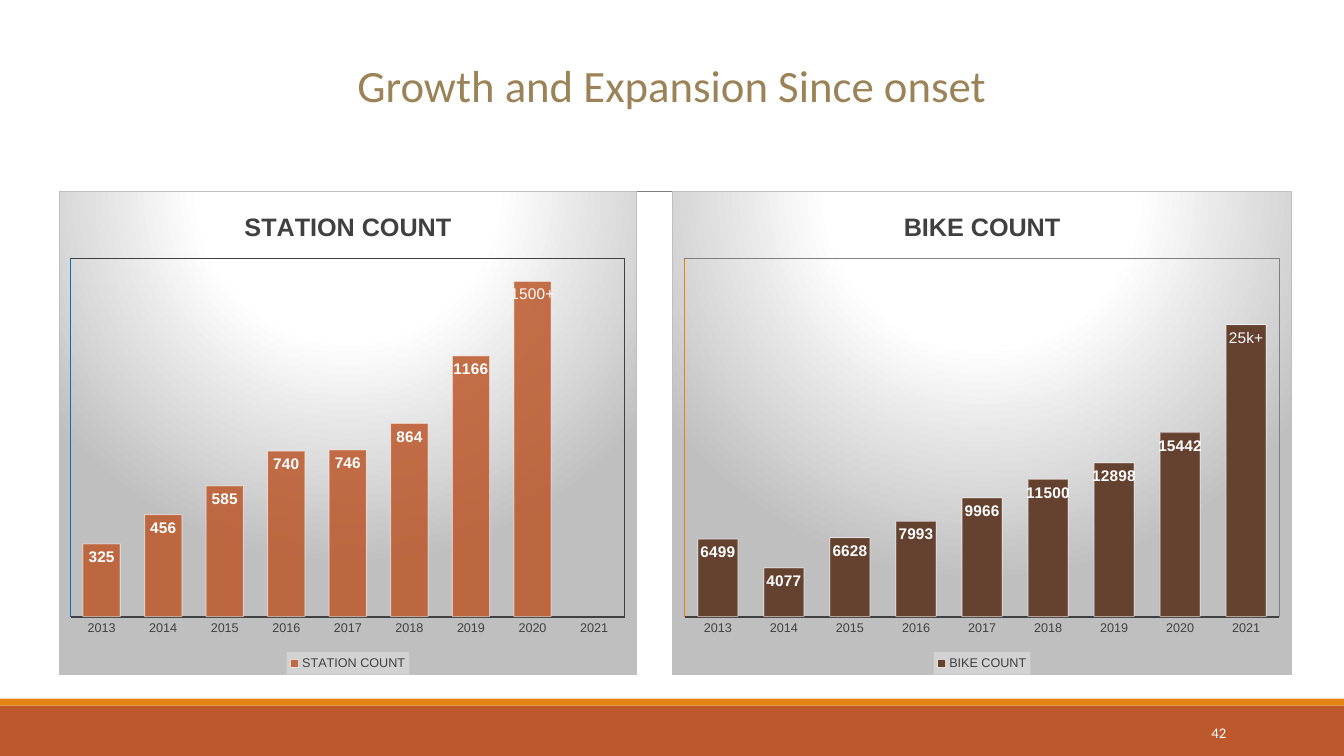
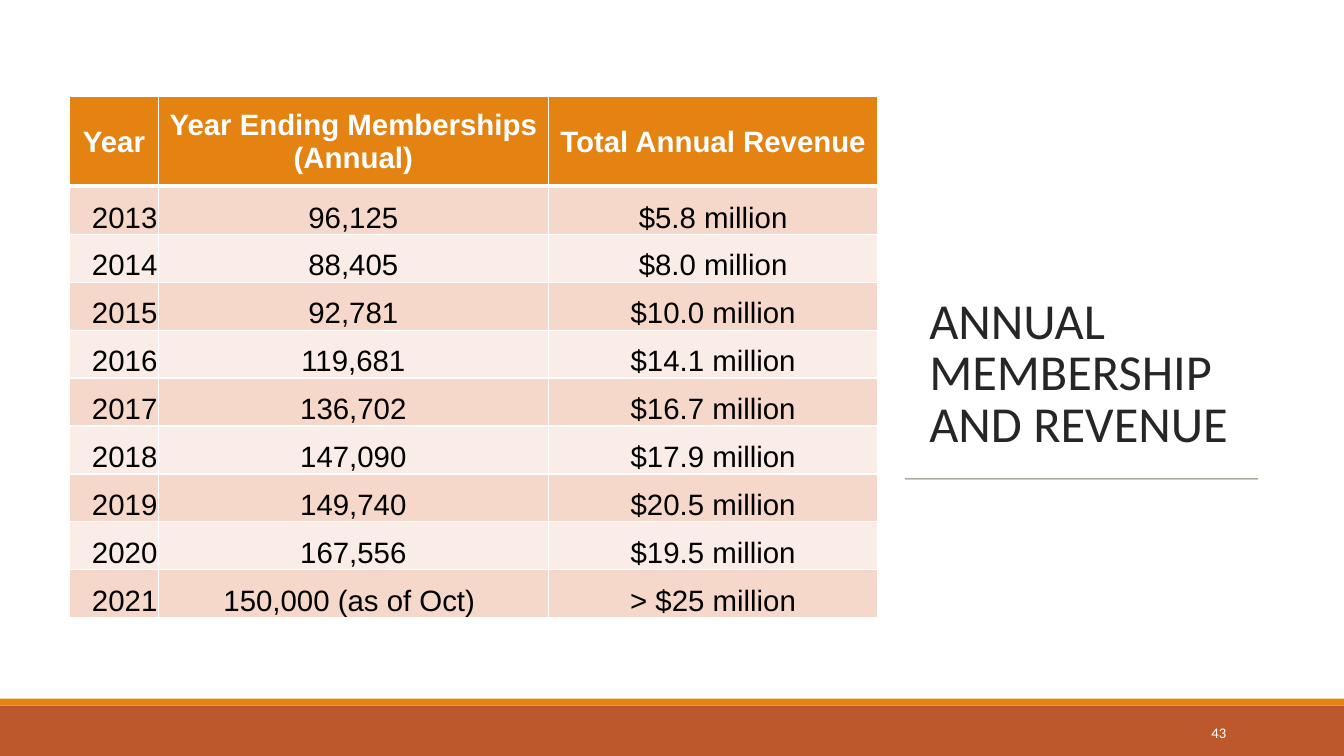
from dataclasses import dataclass
from typing import Any, Optional

import pptx
import pptx.chart.data
import pptx.dml.color
import pptx.enum.chart
import pptx.enum.shapes
import pptx.enum.text
import pptx.oxml
import pptx.oxml.ns
import pptx.slide
import pptx.util

Pt = pptx.util.Pt
ALIGN = pptx.enum.text.PP_ALIGN
ANCHOR = pptx.enum.text.MSO_ANCHOR
CHART = pptx.enum.chart

HUES = {
    "white": "FFFFFF", "black": "000000", "ink": "262626", "dark": "404040",
    "gray": "7F7F7F", "edge": "BFBFBF", "pale": "F2F2F2", "rust": "BD582C",
    "orange": "E48312", "brown": "654130", "gold": "9B8357", "olive": "637052",
    "blue": "0070C0", "rose": "F5D8CA", "blush": "FAECE6",
}
WIDE, HIGH = 960, 540
SPACES = " ".join(pptx.oxml.ns.nsdecls(name) for name in ("a", "c"))


@dataclass
class Box:
    left: float
    top: float
    width: float
    height: float

    def pts(self) -> list[int]:
        return [Pt(n) for n in (self.left, self.top, self.width, self.height)]


@dataclass
class Band:
    box: Box
    hue: str


@dataclass
class Graph:
    box: Box
    name: str
    vals: list[Optional[int]]
    top: int
    hue: str
    frame: str
    side: str
    mark: int
    label: str
    alpha: int = 100


BANDS = [
    Band(Box(0, 504, WIDE, 36), "rust"),
    Band(Box(0, 499, WIDE, 5), "orange"),
]
YEARS = [str(year) for year in range(2013, 2022)]
GRAPHS = [
    Graph(Box(42, 136.3, 413, 346), "STATION COUNT",
          [325, 456, 585, 740, 746, 864, 1166, 1500, None],
          1600, "rust", "dark", "blue", 7, "1500+", 85),
    Graph(Box(480, 136.3, 443, 346), "BIKE COUNT",
          [6499, 4077, 6628, 7993, 9966, 11500, 12898, 15442, 24500],
          30000, "brown", "gray", "orange", 8, "25k+"),
]
HEADS = ["Year", "Year Ending Memberships (Annual)", "Total Annual Revenue"]
MEMBERS = ["96,125", "88,405", "92,781", "119,681", "136,702", "147,090",
           "149,740", "167,556", "150,000 (as of Oct)\N{NO-BREAK SPACE}"]
SALES = ["$5.8 million", "$8.0 million", "$10.0 million", "$14.1 million",
         "$16.7 million", "$17.9 million", "$20.5 million", "$19.5 million",
         "> $25 million"]


def rgb(hue: str) -> pptx.dml.color.RGBColor:
    return pptx.dml.color.RGBColor.from_string(HUES[hue])


def put(thing: Any, **values: Any) -> None:
    """Set each named attribute."""
    for name, value in values.items():
        setattr(thing, name, value)


def ink(font: Any, hue: str, size: float, face: str = "Arial",
        bold: bool = False) -> None:
    put(font, name=face, size=Pt(size), bold=bold)
    font.color.rgb = rgb(hue)


def paint(fill: Any, hue: str) -> None:
    fill.solid()
    fill.fore_color.rgb = rgb(hue)


def stroke(line: Any, hue: str, width: float = 0.75) -> None:
    paint(line.fill, hue)
    line.width = Pt(width)


def node(text: str) -> Any:
    """Parse XML whose first tag still needs its namespaces."""
    cut = min(n for n in (text.find(">"), text.find("/>")) if n > 0)
    return pptx.oxml.parse_xml(f"{text[:cut]} {SPACES}{text[cut:]}")


def fade(color: Any, share: int) -> None:
    color.append(node(f'<a:alpha val="{share * 1000}"/>'))


def solid(hue: str) -> str:
    return f'<a:solidFill><a:srgbClr val="{HUES[hue]}"/></a:solidFill>'


def edge(hue: str) -> str:
    return f'<a:ln w="{Pt(0.75)}">{solid(hue)}</a:ln>'


def rule(slide: pptx.slide.Slide, left: float, right: float, top: float,
         hue: str) -> Any:
    line = slide.shapes.add_connector(
        pptx.enum.shapes.MSO_CONNECTOR.STRAIGHT,
        Pt(left), Pt(top), Pt(right), Pt(top))
    stroke(line.line, hue)
    line.element.spPr.append(node("<a:effectLst/>"))
    return line


def write(shape: Any, text: str, side: Any, anchor: Any, hue: str,
          size: float, space: float = 1, after: float = 0) -> None:
    frame = shape.text_frame
    put(frame, text=text, word_wrap=True, vertical_anchor=anchor,
        auto_size=pptx.enum.text.MSO_AUTO_SIZE.NONE,
        margin_left=Pt(7.2), margin_right=Pt(7.2),
        margin_top=Pt(3.6), margin_bottom=Pt(3.6))
    para = frame.paragraphs[0]
    put(para, alignment=side, line_spacing=space, space_after=Pt(after))
    ink(para.runs[0].font, hue, size, "Calibri")


def start(deck: Any, title: str, box: Box, side: Any, hue: str, size: float,
          page: int, after: float = 0) -> pptx.slide.Slide:
    """Add a slide with its title, bands and page number."""
    slide = deck.slides.add_slide(deck.slide_layouts[5])
    for band in BANDS:
        shape = slide.shapes.add_shape(
            pptx.enum.shapes.MSO_SHAPE.RECTANGLE, *band.box.pts())
        shape.shadow.inherit = False
        paint(shape.fill, band.hue)
        shape.line.fill.background()
    head = slide.shapes.title
    put(head, **dict(zip(("left", "top", "width", "height"), box.pts())))
    write(head, title, side, ANCHOR.BOTTOM, hue, size, 0.85)
    foot = slide.shapes.add_textbox(*Box(780, 508.5, 103, 29).pts())
    write(foot, str(page), ALIGN.RIGHT, ANCHOR.MIDDLE, "white", 10.5,
          after=after)
    return slide


def dress(root: Any, graph: Graph) -> None:
    """Add the parts of a chart that need XML."""
    stops = "".join(
        f'<a:gs pos="{pos * 1000}"><a:srgbClr val="{HUES[hue]}"/></a:gs>'
        for pos, hue in ((0, "white"), (39, "white"), (100, "edge")))
    root.xpath("c:chart")[0].addnext(node(
        f'<c:spPr><a:gradFill><a:gsLst>{stops}</a:gsLst>'
        '<a:path path="circle"><a:fillToRect l="50000" t="-80000" '
        f'r="50000" b="180000"/></a:path></a:gradFill>{edge("edge")}'
        '</c:spPr>'))
    area = root.xpath("c:chart/c:plotArea")[0]
    for old in area.xpath("c:layout"):
        area.remove(old)
    places = "".join(f'<c:{key} val="{val}"/>' for key, val in (
        ("layoutTarget", "inner"), ("xMode", "edge"), ("yMode", "edge"),
        ("x", 0.02), ("y", 0.14), ("w", 0.96), ("h", 0.74)))
    area.insert(0, node(
        f"<c:layout><c:manualLayout>{places}</c:manualLayout></c:layout>"))
    area.append(node(f"<c:spPr><a:noFill/>{edge(graph.frame)}</c:spPr>"))
    panel = node(f"<c:spPr>{solid('pale')}</c:spPr>")
    fade(panel.xpath(".//a:srgbClr")[0], 39)
    root.xpath(".//c:legend/c:overlay")[0].addnext(panel)
    bar = root.xpath(".//c:ser/c:spPr")[0]
    fade(bar.xpath("a:solidFill/a:srgbClr")[0], graph.alpha)
    fade(bar.xpath("a:ln/a:solidFill/a:srgbClr")[0], 50)


def plot(slide: pptx.slide.Slide, graph: Graph) -> None:
    data = pptx.chart.data.CategoryChartData()
    data.categories = YEARS
    data.add_series(graph.name, graph.vals)
    chart = slide.shapes.add_chart(
        CHART.XL_CHART_TYPE.COLUMN_CLUSTERED, *graph.box.pts(), data).chart
    ink(chart.font, "black", 10)
    put(chart, has_title=True, has_legend=True)
    chart.chart_title.include_in_layout = False
    head = chart.chart_title.text_frame
    head.text = graph.name
    ink(head.paragraphs[0].runs[0].font, "dark", 18, bold=True)
    put(chart.legend, position=CHART.XL_LEGEND_POSITION.BOTTOM,
        include_in_layout=False)
    ink(chart.legend.font, "dark", 9)

    none = CHART.XL_TICK_MARK.NONE
    base, scale = chart.category_axis, chart.value_axis
    put(base, major_tick_mark=none, has_major_gridlines=False)
    ink(base.tick_labels.font, "dark", 9)
    stroke(base.format.line, "dark", 1.5)
    put(scale, major_tick_mark=none, has_major_gridlines=False,
        minimum_scale=0, maximum_scale=graph.top,
        tick_label_position=CHART.XL_TICK_LABEL_POSITION.NONE)
    stroke(scale.format.line, graph.side)

    bars = chart.plots[0]
    put(bars, gap_width=65, vary_by_categories=False)
    row = bars.series[0]
    paint(row.format.fill, graph.hue)
    stroke(row.format.line, "white")
    inner = CHART.XL_LABEL_POSITION.INSIDE_END
    put(row.data_labels, show_value=True, position=inner)
    ink(row.data_labels.font, "white", 11, bold=True)
    label = row.points[graph.mark].data_label
    label.text_frame.text = graph.label
    ink(label.text_frame.paragraphs[0].runs[0].font, "white", 11)
    label.position = inner
    dress(chart.element, graph)


def frame(cell: Any, row: int) -> None:
    """Rule the cell, thicker below the header."""
    heavy = {0: "B", 1: "T"}.get(row)
    for spot, side in enumerate("LRTB"):
        width = Pt(3 if side == heavy else 1)
        cell._tc.get_or_add_tcPr().insert(spot, node(
            f'<a:ln{side} w="{width}">{solid("white")}</a:ln{side}>'))


def grid(slide: pptx.slide.Slide, box: Box) -> None:
    rows = [HEADS, *zip(YEARS, MEMBERS, SALES)]
    table = slide.shapes.add_table(len(rows), len(HEADS), *box.pts()).table
    table.horz_banding = False
    for col, width in zip(table.columns, (63.4, 278.6, 235.4)):
        col.width = Pt(width)
    for y, texts in enumerate(rows):
        table.rows[y].height = Pt(34.25 if y else 64)
        hue = ("blush", "rose")[y % 2] if y else "orange"
        for x, text in enumerate(texts):
            cell = table.cell(y, x)
            put(cell, text=text, margin_left=Pt(0.7), margin_right=Pt(0.7),
                margin_top=Pt(0.7), margin_bottom=0,
                vertical_anchor=ANCHOR.BOTTOM if y else ANCHOR.MIDDLE)
            para = cell.text_frame.paragraphs[0]
            para.alignment = ALIGN.RIGHT if y and not x else ALIGN.CENTER
            ink(para.runs[0].font, "black" if y else "white", 21, bold=not y)
            paint(cell.fill, hue)
            frame(cell, y)


def main() -> None:
    deck = pptx.Presentation()
    put(deck, slide_width=Pt(WIDE), slide_height=Pt(HIGH))

    growth = start(deck, "Growth and Expansion Since onset",
                   Box(66, 39, 828, 44.6), ALIGN.CENTER, "gold", 32, 42, 6)
    rule(growth, 94.3, 879, 136.8, "gray")
    for graph in GRAPHS:
        plot(growth, graph)

    money = start(deck, "ANNUAL MEMBERSHIP AND REVENUE",
                  Box(656.6, 50.4, 252, 276.5), ALIGN.LEFT, "ink", 36, 43)
    line = rule(money, 646.6, 898.6, 342, "olive")
    fade(line.element.xpath(".//a:ln//a:srgbClr")[0], 90)
    grid(money, Box(49.7, 69.1, 577.4, 372.25))
    deck.save("out.pptx")


if __name__ == "__main__":
    main()
